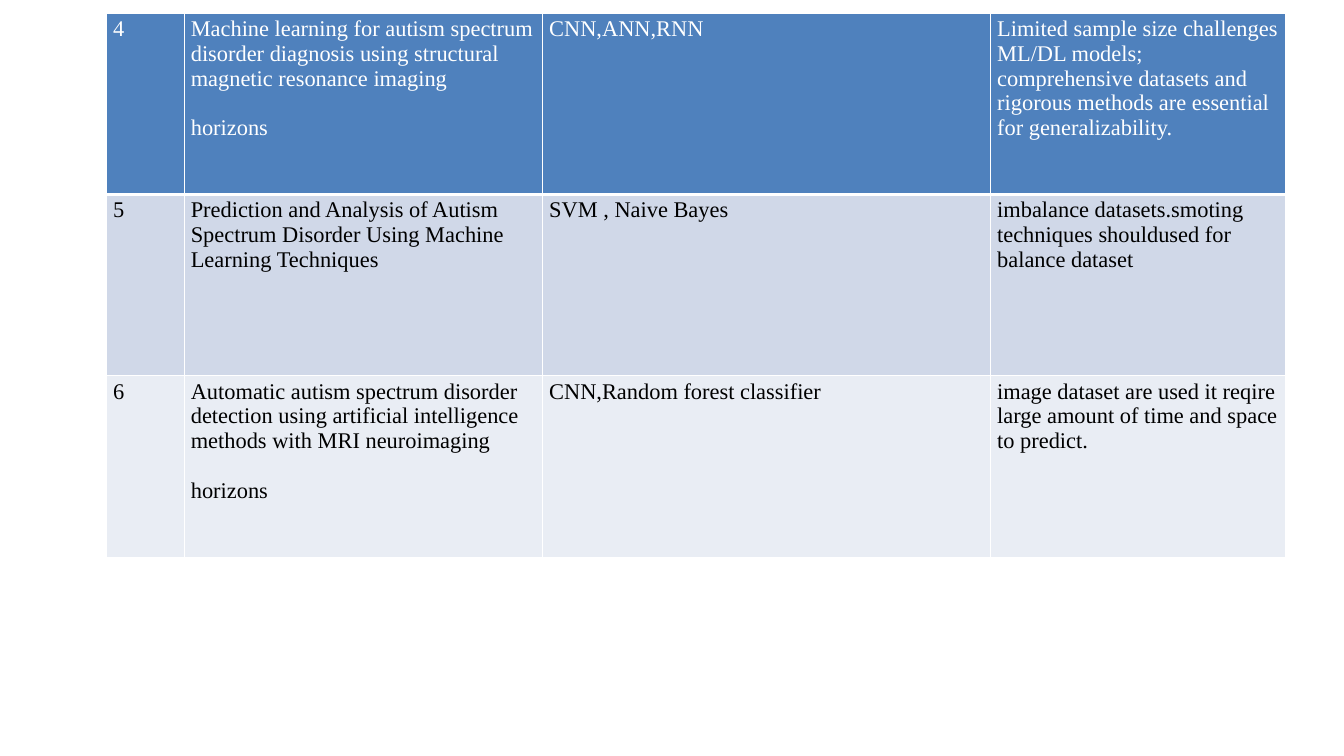
from dataclasses import dataclass

from lxml import etree
from pptx import Presentation
from pptx import util as u
from pptx.dml.color import RGBColor
from pptx.oxml import ns

PX = 9525


@dataclass(frozen=True)
class Theme:
    font: str = "Times New Roman"
    size: float = 24
    gap: float = 26.6
    light: str = "FFFFFF"
    dark: str = "000000"
    fills: tuple = ("4F81BD", "D0D8E8", "E9EDF4")
    thin: int = 1
    thick: int = 3


THEME = Theme()
COLUMNS = (111, 512, 640, 421)
ROW_HEIGHT = 259
STUDIES = [
    ("4",
     "Machine learning for autism spectrum disorder diagnosis using structural "
     "magnetic resonance imaging\nhorizons",
     "CNN,ANN,RNN",
     "Limited sample size challenges ML/DL models; comprehensive datasets and "
     "rigorous methods are essential for generalizability."),
    ("5",
     "Prediction and Analysis of Autism Spectrum Disorder Using Machine "
     "Learning Techniques",
     "SVM , Naive Bayes",
     "imbalance datasets.smoting techniques shouldused for balance dataset"),
    ("6",
     "Automatic autism spectrum disorder detection using artificial "
     "intelligence methods with MRI neuroimaging\nhorizons",
     "CNN,Random forest classifier",
     "image dataset are used it reqire large amount of time and space to predict."),
]


def px(n):
    return u.Emu(n * PX)


def set_borders(cell, widths):
    tc_pr = cell._tc.get_or_add_tcPr()
    for i, (side, width) in enumerate(widths.items()):
        ln = etree.Element(ns.qn(f"a:ln{side}"), w=str(u.Pt(width)))
        fill = etree.SubElement(ln, ns.qn("a:solidFill"))
        etree.SubElement(fill, ns.qn("a:srgbClr"), val=THEME.light)
        tc_pr.insert(i, ln)


def write_cell(cell, content, color):
    tf = cell.text_frame
    for i, line in enumerate(content.split("\n")):
        p = tf.add_paragraph() if i else tf.paragraphs[0]
        p.space_before = u.Pt(THEME.gap if i else 0)
        r = p.add_run()
        r.text = line
        font = {"name": THEME.font, "size": u.Pt(THEME.size), "bold": False}
        for key, value in font.items():
            setattr(r.font, key, value)
        r.font.color.rgb = RGBColor.from_string(color)


def add_study_table(s, left, top):
    frame = s.shapes.add_table(len(STUDIES), len(COLUMNS), px(left), px(top),
                               px(sum(COLUMNS)), px(ROW_HEIGHT * len(STUDIES)))
    table = frame.table
    for column, width in zip(table.columns, COLUMNS):
        column.width = px(width)
    for i, (row, study) in enumerate(zip(table.rows, STUDIES)):
        row.height = px(ROW_HEIGHT)
        widths = {"L": THEME.thin, "R": THEME.thin,
                  "T": THEME.thick if i == 1 else THEME.thin,
                  "B": THEME.thick if i == 0 else THEME.thin}
        for cell, content in zip(row.cells, study):
            cell.fill.solid()
            cell.fill.fore_color.rgb = RGBColor.from_string(THEME.fills[i])
            set_borders(cell, widths)
            write_cell(cell, content, THEME.dark if i else THEME.light)


def main():
    prs = Presentation()
    prs.slide_width, prs.slide_height = px(1920), px(1080)
    s = prs.slides.add_slide(prs.slide_layouts[6])
    add_study_table(s, 152, 19)
    prs.save("out.pptx")


if __name__ == "__main__":
    main()
